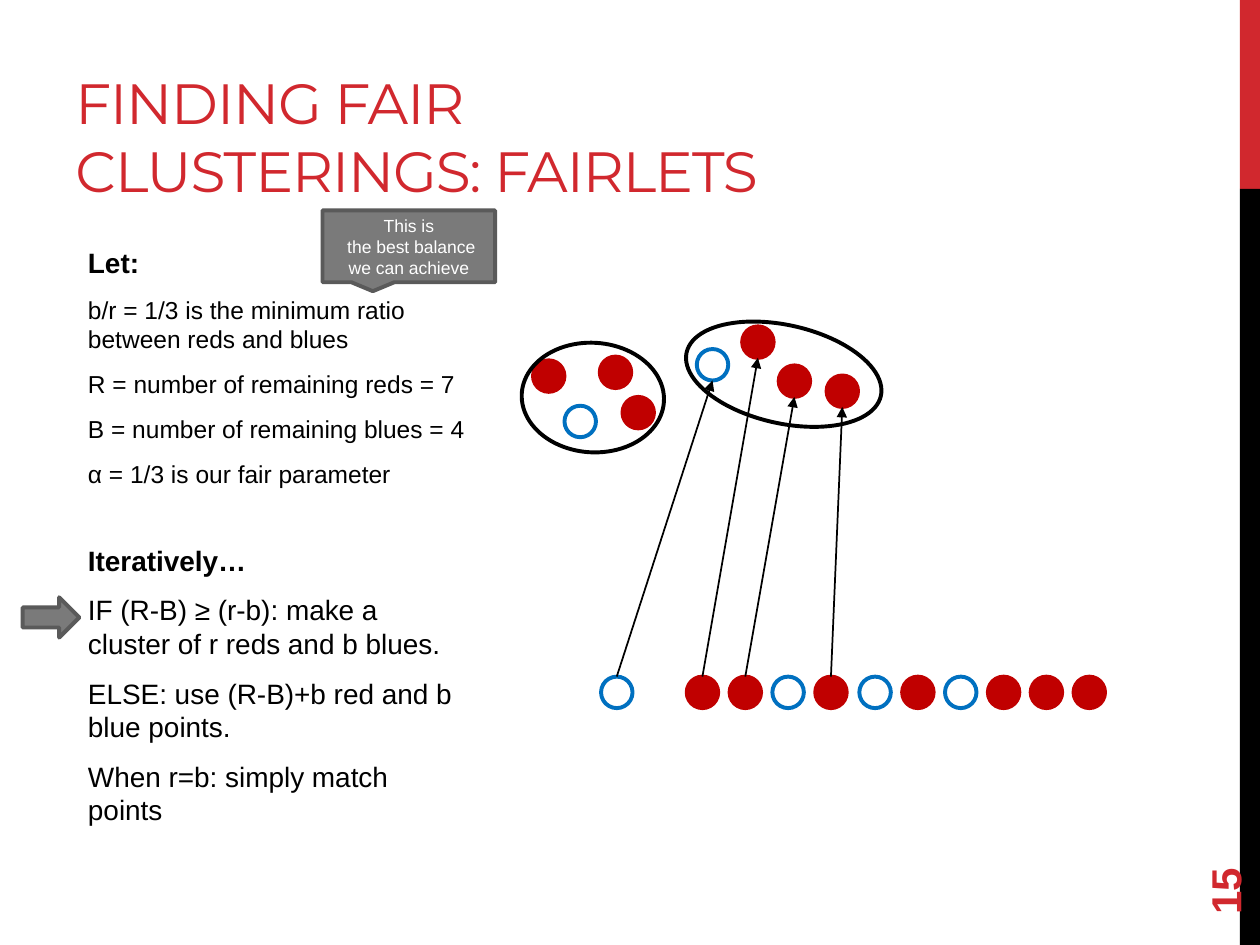
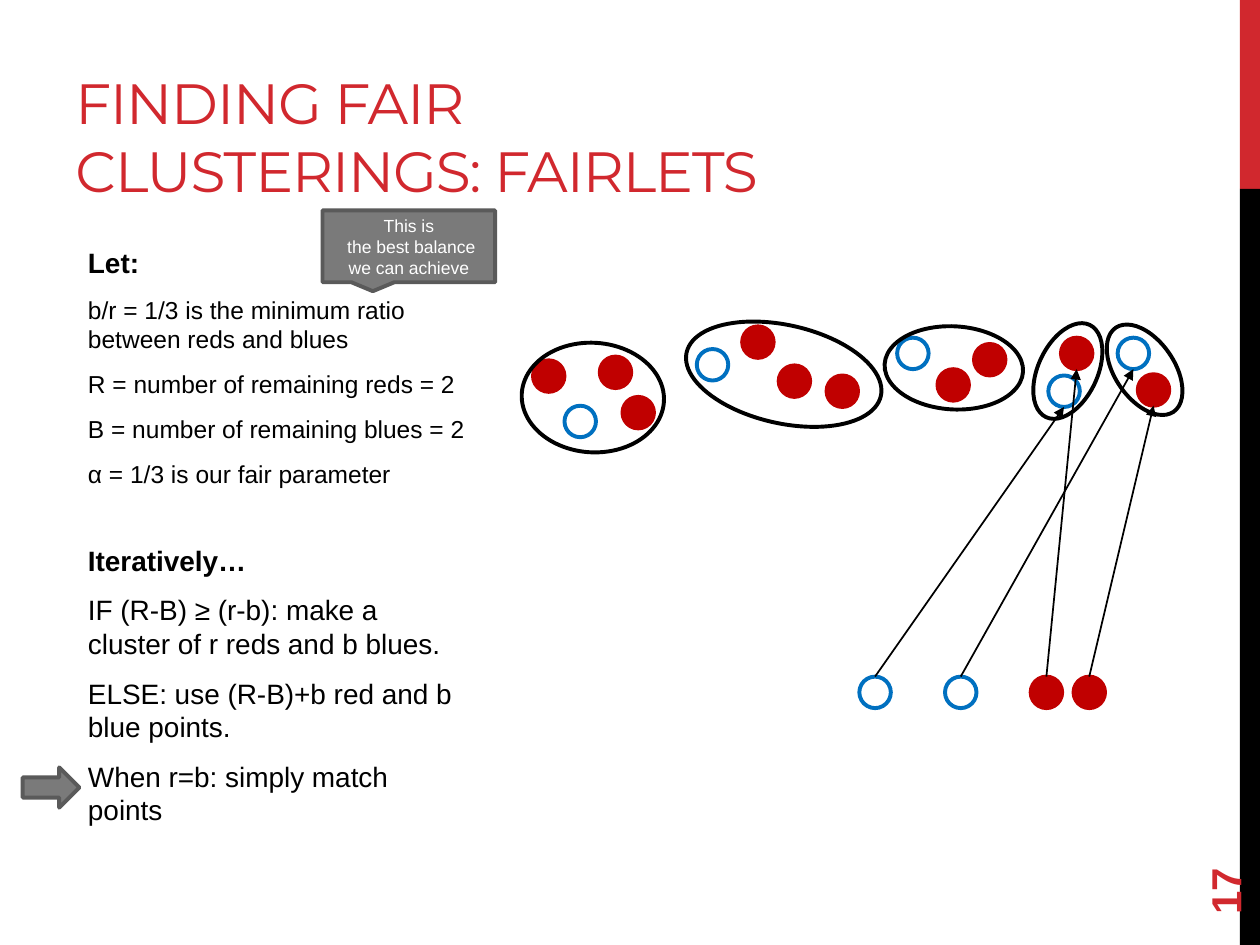
from pptx import Presentation
from pptx.dml.color import RGBColor
from pptx.enum.shapes import MSO_CONNECTOR, MSO_SHAPE
from pptx.enum.text import MSO_ANCHOR, PP_ALIGN
from pptx.oxml.ns import qn
from pptx.util import Emu, Pt
from lxml import etree

PX = 9144  # one px is a hundredth of an inch

CRIMSON = RGBColor(0xD1, 0x28, 0x2E)
BLACK = RGBColor(0, 0, 0)
WHITE = RGBColor(0xFF, 0xFF, 0xFF)
RED = RGBColor(0xC0, 0, 0)
BLUE = RGBColor(0, 0x70, 0xC0)
GRAY = RGBColor(0x7A, 0x7A, 0x7A)
DARK_GRAY = RGBColor(0x5A, 0x5A, 0x5A)

TITLE_FONT, BODY_FONT = "Montserrat", "Arial"
RECTANGLE, ELLIPSE = MSO_SHAPE.RECTANGLE, MSO_SHAPE.OVAL
ARROW, CALLOUT = MSO_SHAPE.RIGHT_ARROW, MSO_SHAPE.RECTANGULAR_CALLOUT
STRAIGHT = MSO_CONNECTOR.STRAIGHT
TOP, MIDDLE, BOTTOM = MSO_ANCHOR.TOP, MSO_ANCHOR.MIDDLE, MSO_ANCHOR.BOTTOM
LEFT, CENTER = PP_ALIGN.LEFT, PP_ALIGN.CENTER

# Points: R is red, B is blue, a blank leaves the slot empty
DOT = 25
ROW_LEFT, ROW_TOP, ROW_STEP = 477, 537, 34.1

# Clusters: dots as (colour, left, top), outline as (left, top, width, height, rotation)
CLUSTERS = [
    ([("R", 423, 286), ("B", 448, 322), ("R", 476, 283), ("R", 494, 315)],
     (427, 259, 87, 113, 93.2)),
    ([("B", 553, 277), ("R", 589, 259), ("R", 618, 290), ("R", 656, 298)],
     (583, 218, 78, 158, 102.6)),
    ([("B", 712, 268), ("R", 744, 293), ("R", 773, 273)],
     (724, 237, 66, 110, 93.1)),
    ([("B", 832, 298), ("R", 842, 268)], (824, 254, 47, 81, 25.3)),
    ([("B", 887, 268), ("R", 903, 297)], (885, 253, 47, 81, 325.4)),
]


def write(frame, text, size=16, color=BLACK, bold=False, font=BODY_FONT,
          align=LEFT, before=0, after=0, spacing=None):
    """Add one paragraph, reusing the empty first one of the frame."""
    first = frame.paragraphs[0]
    paragraph = frame.add_paragraph() if first.runs else first
    paragraph.alignment = align
    paragraph.space_before, paragraph.space_after = Pt(before), Pt(after)
    run = paragraph.add_run()
    run.text = text
    run.font.name, run.font.size, run.font.bold = font, Pt(size), bold
    run.font.color.rgb = color
    if spacing:
        run.font._element.set("spc", str(spacing))


class Deck:
    def __init__(self):
        self.presentation = Presentation()
        self.presentation.slide_width = Emu(1000 * PX)
        self.presentation.slide_height = Emu(750 * PX)
        self.slide = None

    def start_slide(self, title, number):
        """Add a slide with its side bands, title and page number."""
        layout = self.presentation.slide_layouts[6]
        self.slide = self.presentation.slides.add_slide(layout)
        self.shape(RECTANGLE, 984, 0, 16, 150, fill=CRIMSON)
        self.shape(RECTANGLE, 984, 150, 16, 600, fill=BLACK)
        write(self.text_box(50, 17, 633, 150, anchor=BOTTOM), title,
              size=32.4, color=CRIMSON, font=TITLE_FONT, spacing=-60)
        write(self.text_box(900, 644, 144, 40, anchor=MIDDLE, rotation=270),
              str(number), size=24, color=CRIMSON, bold=True)

    def text_box(self, left, top, width, height, anchor=TOP, rotation=0):
        box = self.slide.shapes.add_textbox(
            *(Emu(v * PX) for v in (left, top, width, height)))
        box.rotation = rotation
        box.text_frame.word_wrap = True
        box.text_frame.vertical_anchor = anchor
        return box.text_frame

    def shape(self, kind, left, top, width, height, rotation=0, fill=None, line=None):
        shape = self.slide.shapes.add_shape(
            kind, *(Emu(v * PX) for v in (left, top, width, height)))
        shape.rotation = rotation
        shape.shadow.inherit = False
        if fill is None:
            shape.fill.background()
        else:
            shape.fill.solid()
            shape.fill.fore_color.rgb = fill
        if line is None:
            shape.line.fill.background()
        else:
            shape.line.color.rgb = line
            shape.line.width = Pt(2.25)
        return shape

    def dot(self, color, left, top):
        fill, line = (RED, RED) if color == "R" else (WHITE, BLUE)
        return self.shape(ELLIPSE, left, top, DOT, DOT, fill=fill, line=line)

    def arrow(self, source, target):
        """Point from the top of one dot to the bottom of another."""
        connector = self.slide.shapes.add_connector(
            STRAIGHT, source.left + source.width // 2, source.top,
            target.left + target.width // 2, target.top + target.height)
        connector.begin_connect(source, 0)
        connector.line.color.rgb = BLACK
        connector.line.width = Pt(1)
        line = connector.line._get_or_add_ln()
        etree.SubElement(line, qn("a:tailEnd"), type="triangle")
        etree.SubElement(connector._element.spPr, qn("a:effectLst"))

    def row(self, colors):
        """Draw the remaining points and return them by slot."""
        return {slot: self.dot(color, ROW_LEFT + round(slot * ROW_STEP), ROW_TOP)
                for slot, color in enumerate(colors) if color != " "}

    def cluster(self, dots, outline):
        drawn = [self.dot(*dot) for dot in dots]
        self.shape(ELLIPSE, *outline, line=BLACK)
        return drawn

    def algorithm(self, reds, blues):
        frame = self.text_box(60, 190, 320, 495)
        # Text, size, bold, space before
        lines = [
            ("Let:", 16, True, 3.2),
            ("b/r = 1/3 is the minimum ratio between reds and blues", 14, False, 2.8),
            (f"R = number of remaining reds = {reds}", 14, False, 2.8),
            (f"B = number of remaining blues = {blues}", 14, False, 2.8),
            ("α = 1/3 is our fair parameter", 14, False, 2.8),
            ("Iteratively…", 16, True, 25.5),
            ("IF (R-B) ≥ (r-b): make a cluster of r reds and b blues.", 16, False, 3.2),
            ("ELSE: use (R-B)+b red and b blue points.", 16, False, 3.2),
            ("When r=b: simply match points", 16, False, 3.2),
        ]
        for text, size, bold, before in lines:
            write(frame, text, size=size, bold=bold, before=before, after=6)

    def callout(self, *lines):
        shape = self.shape(CALLOUT, 256, 167, 137, 57, fill=GRAY, line=DARK_GRAY)
        shape.text_frame.word_wrap = True
        shape.text_frame.vertical_anchor = MIDDLE
        for text in lines:
            write(shape.text_frame, text, size=10, color=WHITE, align=CENTER)

    def fairlet_step(self, number, reds, blues, step_top, points, cluster_count, matches):
        """Draw one step; matches holds (slot, cluster, dot) triples."""
        self.start_slide("FINDING FAIR CLUSTERINGS: FAIRLETS", number)
        row = self.row(points)
        self.algorithm(reds, blues)
        self.shape(ARROW, 18, step_top, 45, 32, fill=GRAY, line=DARK_GRAY)
        self.callout("This is", " the best balance we can achieve")
        clusters = [self.cluster(*cluster) for cluster in CLUSTERS[:cluster_count]]
        for slot, cluster, dot in matches:
            self.arrow(row[slot], clusters[cluster][dot])


def main():
    deck = Deck()

    # A cluster of r reds and b blues
    deck.fairlet_step(15, reds=7, blues=4, step_top=474, points="B RRBRBRBRRR",
                      cluster_count=2,
                      matches=[(0, 1, 0), (2, 1, 1), (3, 1, 2), (5, 1, 3)])

    # Matching the points that are left
    deck.fairlet_step(17, reds=2, blues=2, step_top=609, points="      B B RR",
                      cluster_count=5,
                      matches=[(6, 3, 0), (10, 3, 1), (8, 4, 0), (11, 4, 1)])

    deck.presentation.save("out.pptx")


if __name__ == "__main__":
    main()
